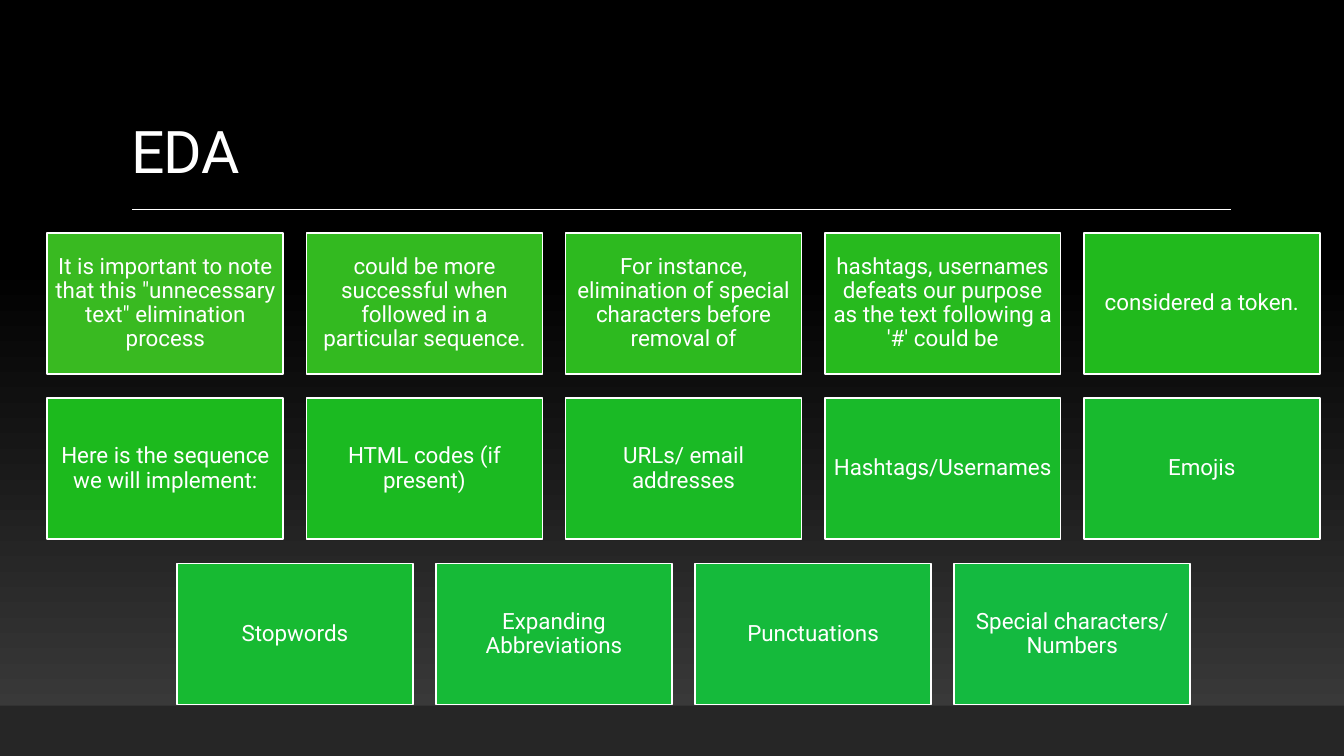
"""Build the EDA slide: a title above a centred grid of green step tiles."""
from colorsys import hsv_to_rgb, rgb_to_hsv
from copy import deepcopy
from dataclasses import dataclass

from lxml import etree
from pptx import Presentation
from pptx.dml.color import RGBColor
from pptx.dml.fill import FillFormat
from pptx.enum.shapes import MSO_CONNECTOR, MSO_SHAPE
from pptx.enum.text import MSO_ANCHOR, PP_ALIGN
from pptx.oxml.ns import qn
from pptx.shapes.autoshape import Shape
from pptx.slide import Slide
from pptx.text.text import TextFrame
from pptx.util import Inches, Pt

RECT = MSO_SHAPE.RECTANGLE
LINE = MSO_CONNECTOR.STRAIGHT
LEFT, CENTER = PP_ALIGN.LEFT, PP_ALIGN.CENTER
MIDDLE, BOTTOM = MSO_ANCHOR.MIDDLE, MSO_ANCHOR.BOTTOM

COLORS = {
    "text": "FFFFFF",
    "glow": "3F3F3F",
    "night": "000000",
    "foot": "262626",
    "first": "39BA21",
    "last": "14BA40",
}
FONT = "Roboto"
WIDE, HIGH = 13.33, 7.5
COLS = 5
GRID_X, GRID_Y = 0.47, 2.31
STEP_X, STEP_Y = 2.57, 1.64
TILE_W, TILE_H = 2.34, 1.4
PAD = 0.07

ROWS = [
    [
        'It is important to note that this "unnecessary text" elimination process',
        "could be more successful when followed in a particular sequence.",
        "For instance, elimination of special characters before removal of",
        "hashtags, usernames defeats our purpose as the text following a '#' could be",
        "considered a token.",
    ],
    [
        "Here is the sequence we will implement:",
        "HTML codes (if present)",
        "URLs/ email addresses",
        "Hashtags/Usernames",
        "Emojis",
    ],
    [
        "Stopwords",
        "Expanding Abbreviations",
        "Punctuations",
        "Special characters/ Numbers",
    ],
]


@dataclass
class Tile:
    text: str
    col: float
    row: int
    color: str


def rgb(name: str) -> RGBColor:
    return RGBColor.from_string(COLORS[name])


def blend(share: float) -> str:
    start, end = (
        rgb_to_hsv(*(part / 255 for part in rgb(name))) for name in ("first", "last")
    )
    mix = [a + (b - a) * share for a, b in zip(start, end)]
    return "".join(f"{round(part * 255):02X}" for part in hsv_to_rgb(*mix))


def shade(fill: FillFormat) -> None:
    fill.gradient()
    fill.gradient_angle = 90
    stops = zip(fill.gradient_stops, (0, 0.65), ("glow", "night"))
    for stop, place, name in stops:
        stop.position = place
        stop.color.rgb = rgb(name)


def extend(slide: Slide) -> None:
    for stops in slide.element.iter(qn("a:gsLst")):
        end = deepcopy(stops[-1])
        end.set("pos", "100000")
        stops.append(end)


def style(frame: TextFrame, size: int, align: PP_ALIGN, anchor: MSO_ANCHOR) -> None:
    frame.word_wrap = True
    frame.vertical_anchor = anchor
    para = frame.paragraphs[0]
    para.alignment = align
    para.line_spacing = 0.9
    font = para.runs[0].font
    font.name = FONT
    font.size = Pt(size)
    font.color.rgb = rgb("text")


def box(slide: Slide, x: float, y: float, w: float, h: float) -> Shape:
    shape = slide.shapes.add_shape(RECT, Inches(x), Inches(y), Inches(w), Inches(h))
    shape.shadow.inherit = False
    shape.line.fill.background()
    return shape


def draw_base(slide: Slide) -> None:
    shade(slide.background.fill)
    base = box(slide, 0, 0, WIDE, HIGH)
    shade(base.fill)
    slide.shapes.element.insert(2, base.element)
    extend(slide)
    foot = box(slide, 0, HIGH - 0.5, WIDE, 0.5)
    foot.fill.solid()
    foot.fill.fore_color.rgb = rgb("foot")


def draw_title(slide: Slide) -> None:
    title = slide.shapes.title
    title.left, title.top = Inches(1.2), Inches(0.31)
    title.width, title.height = Inches(11), Inches(1.59)
    frame = title.text_frame
    frame.text = "EDA"
    style(frame, 42, LEFT, BOTTOM)
    frame.paragraphs[0].runs[0].font._element.set("spc", "-50")
    rule = slide.shapes.add_connector(
        LINE, Inches(1.31), Inches(2.08), Inches(12.21), Inches(2.08)
    )
    rule.line.color.rgb = rgb("text")
    rule.line.width = Pt(1)
    etree.SubElement(rule.element.spPr, qn("a:effectLst"))


def draw_tile(slide: Slide, tile: Tile) -> None:
    x, y = GRID_X + tile.col * STEP_X, GRID_Y + tile.row * STEP_Y
    shape = box(slide, x, y, TILE_W, TILE_H)
    shape.fill.solid()
    shape.fill.fore_color.rgb = RGBColor.from_string(tile.color)
    shape.line.color.rgb = rgb("text")
    shape.line.width = Pt(1.25)
    frame = shape.text_frame
    frame.margin_left = frame.margin_right = Inches(PAD)
    frame.margin_top = frame.margin_bottom = Inches(PAD)
    frame.text = tile.text
    style(frame, 16, CENTER, MIDDLE)


def plan() -> list[Tile]:
    last = sum(map(len, ROWS)) - 1
    return [
        Tile(text, col + (COLS - len(texts)) / 2, row, blend((row * COLS + col) / last))
        for row, texts in enumerate(ROWS)
        for col, text in enumerate(texts)
    ]


def main() -> None:
    deck = Presentation()
    deck.slide_width, deck.slide_height = Inches(WIDE), Inches(HIGH)
    slide = deck.slides.add_slide(deck.slide_layouts[5])
    draw_base(slide)
    draw_title(slide)
    for tile in plan():
        draw_tile(slide, tile)
    deck.save("out.pptx")


if __name__ == "__main__":
    main()
